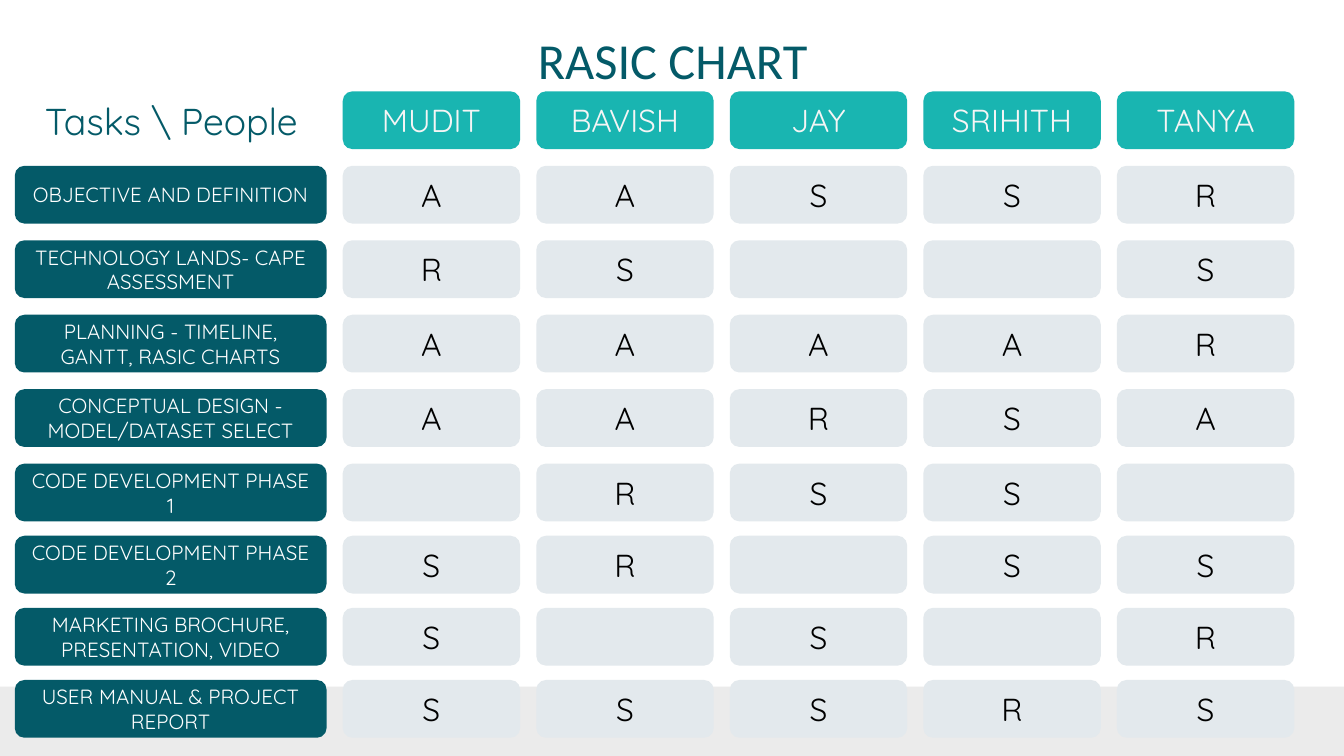
from pptx import Presentation
from pptx.dml.color import RGBColor as RGB
from pptx.enum.shapes import MSO_SHAPE as Shape
from pptx.enum.text import MSO_ANCHOR as Anchor, MSO_AUTO_SIZE as Fit, PP_ALIGN as Align
from pptx.util import Inches, Pt

TITLE = "RASIC CHART"
CORNER = "Tasks \\ People"
PEOPLE = ["MUDIT", "BAVISH", "JAY", "SRIHITH", "TANYA"]
TASKS = [
    ("OBJECTIVE AND DEFINITION", ["A", "A", "S", "S", "R"]),
    ("TECHNOLOGY LANDS- CAPE ASSESSMENT", ["R", "S", "", "", "S"]),
    ("PLANNING - TIMELINE, GANTT, RASIC CHARTS", ["A", "A", "A", "A", "R"]),
    ("CONCEPTUAL DESIGN - MODEL/DATASET SELECT", ["A", "A", "R", "S", "A"]),
    ("CODE DEVELOPMENT PHASE 1", ["", "R", "S", "S", ""]),
    ("CODE DEVELOPMENT PHASE 2", ["S", "R", "", "S", "S"]),
    ("MARKETING BROCHURE, PRESENTATION, VIDEO", ["S", "", "S", "", "R"]),
    ("USER MANUAL & PROJECT REPORT", ["S", "S", "S", "R", "S"]),
]

THEME = {
    "teal": "045A68", "aqua": "19B5B1", "cell": "E3E9ED", "band": "EBEBEB",
    "light": "F5F5F5", "white": "FFFFFF", "black": "000000",
    "head": "Calibri", "body": "Quicksand",
    "title": 27, "corner": 20, "mark": 17, "task": 11,
}
WIDE = 10
HIGH = WIDE * 9 / 16
TOP, MID, END, TALL = 0.68, 3.45, 5.06, 0.43
LEFT, STEP, CELL = 2.55, 1.44, 1.32
TASK_X, TASK_W = 0.11, 2.32
BAND_Y = 5.11


def write(shape, text, size="mark", color="black", font="body"):
    frame = shape.text_frame
    frame.word_wrap = True
    frame.auto_size = Fit.NONE
    frame.vertical_anchor = Anchor.MIDDLE
    frame.margin_left = frame.margin_right = Inches(0.1)
    frame.margin_top = frame.margin_bottom = Inches(0.1)
    para = frame.paragraphs[0]
    para.alignment = Align.CENTER
    para.line_spacing = 1
    para.space_before = Pt(0)
    run = para.add_run()
    run.text = text
    run.font.size = Pt(THEME[size])
    run.font.name = THEME[font]
    run.font.color.rgb = RGB.from_string(THEME[color])


def block(slide, x, y, w, h, fill, kind=Shape.FLOWCHART_ALTERNATE_PROCESS):
    shape = slide.shapes.add_shape(kind, Inches(x), Inches(y), Inches(w), Inches(h))
    shape.shadow.inherit = False
    shape.fill.solid()
    shape.fill.fore_color.rgb = RGB.from_string(THEME[fill])
    shape.line.fill.background()
    return shape


def row_top(row):
    if row <= 5:
        return TOP + (MID - TOP) * row / 5
    return MID + (END - MID) * (row - 5) / 3


def main():
    deck = Presentation()
    deck.slide_width, deck.slide_height = Inches(WIDE), Inches(HIGH)
    slide = deck.slides.add_slide(deck.slide_layouts[5])

    block(slide, 0, BAND_Y, WIDE, HIGH - BAND_Y, "band", Shape.RECTANGLE)

    title = slide.shapes.title
    title.left, title.top = Inches(0.79), Inches(0.27)
    title.width, title.height = Inches(8.43), Inches(0.35)
    write(title, TITLE, size="title", color="teal", font="head")

    corner = slide.shapes.add_textbox(Inches(-0.06), Inches(0.72), Inches(2.67), Inches(0.35))
    write(corner, CORNER, size="corner", color="teal")

    for col, name in enumerate(PEOPLE):
        head = block(slide, LEFT + STEP * col, TOP, CELL, TALL, "aqua")
        write(head, name, color="light")

    for row, (task, marks) in enumerate(TASKS, 1):
        y = row_top(row)
        label = block(slide, TASK_X, y, TASK_W, TALL, "teal")
        write(label, task, size="task", color="white")
        for col, mark in enumerate(marks):
            cell = block(slide, LEFT + STEP * col, y, CELL, TALL, "cell")
            if mark:
                write(cell, mark)

    deck.save("out.pptx")


if __name__ == "__main__":
    main()
